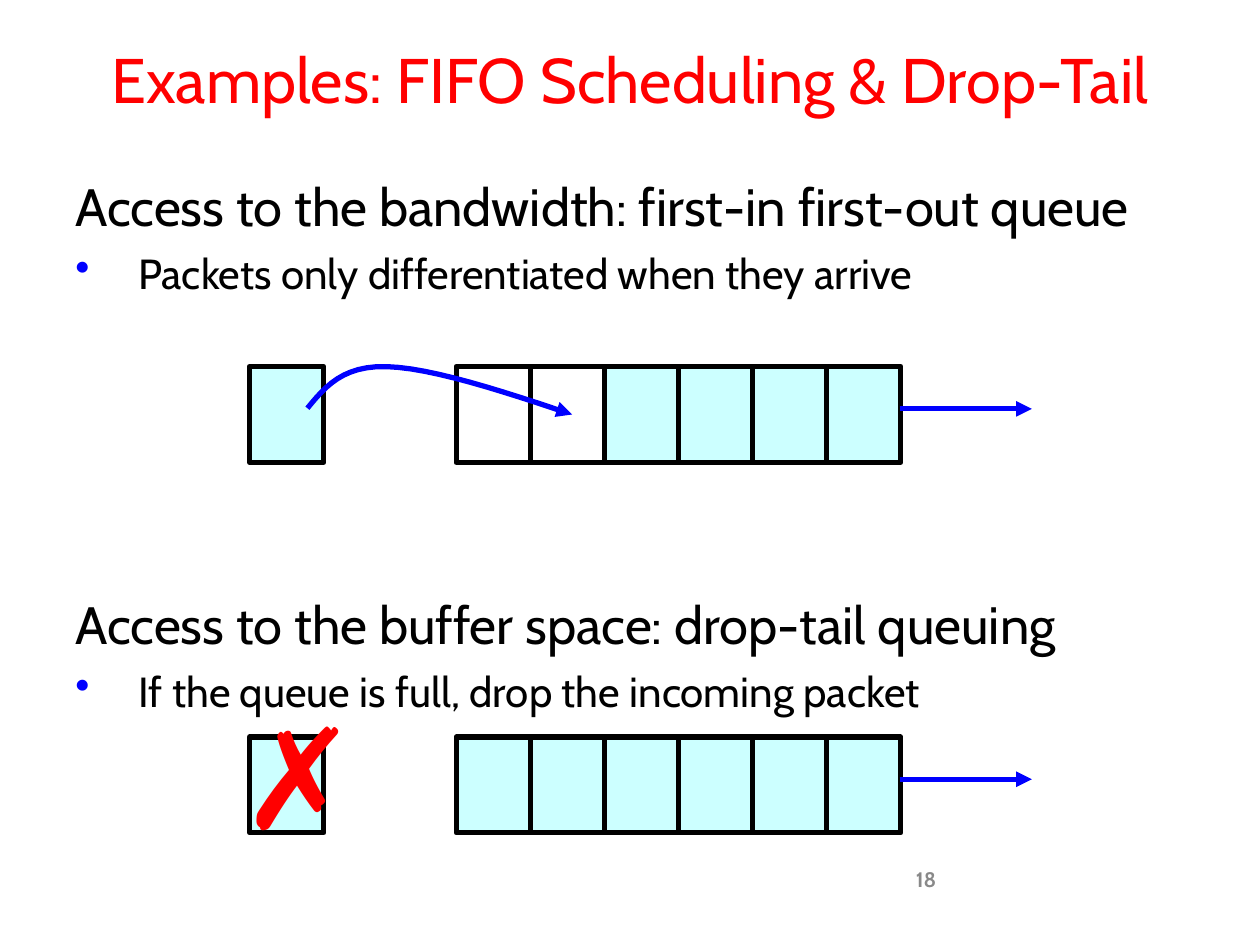
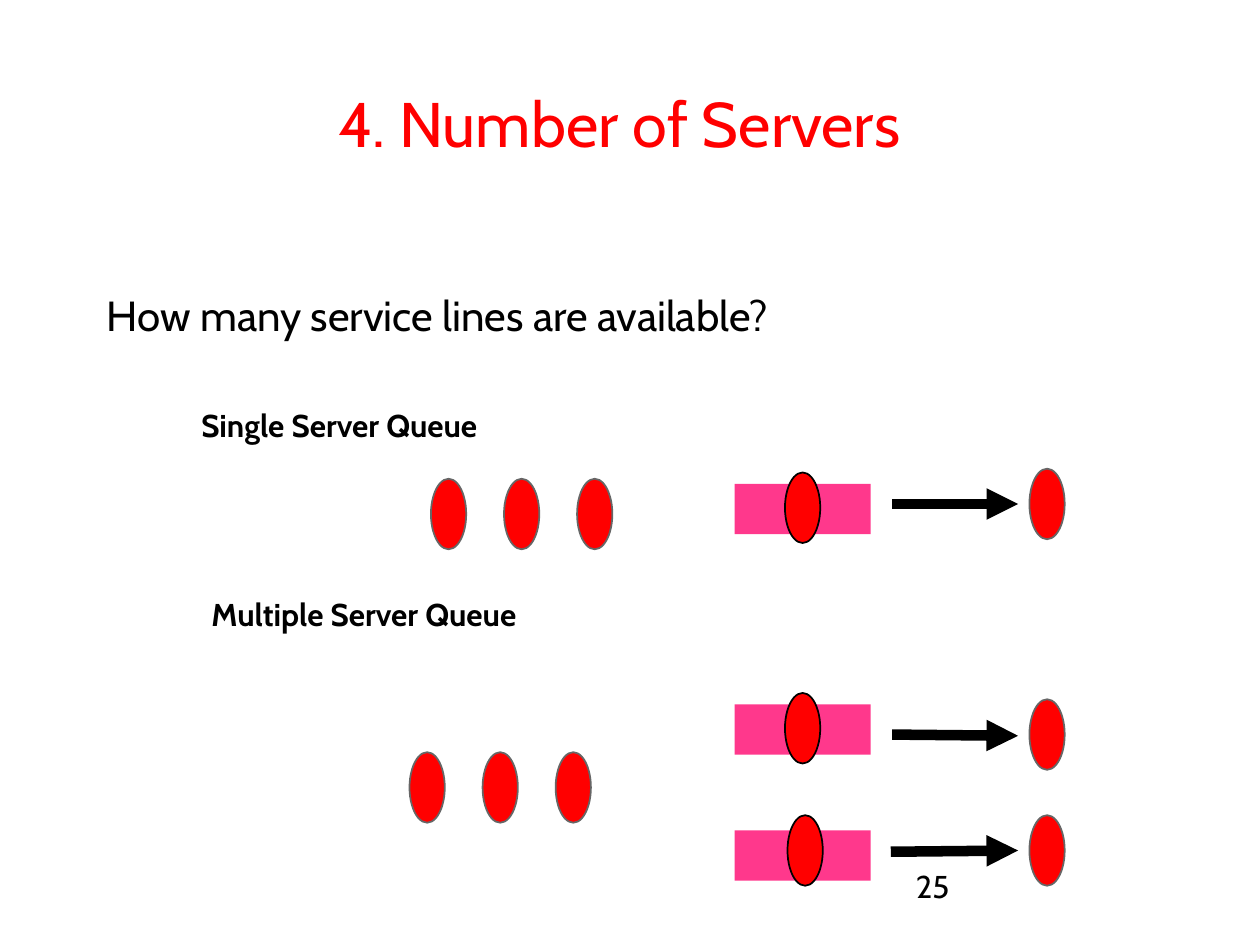
from typing import NamedTuple, Optional

from lxml.etree import SubElement
from pptx import Presentation
from pptx.dml.color import RGBColor
from pptx.enum.shapes import MSO_CONNECTOR, MSO_SHAPE
from pptx.enum.text import MSO_ANCHOR, PP_ALIGN
from pptx.oxml.ns import qn
from pptx.util import Inches, Pt

RED = RGBColor(0xFF, 0x00, 0x00)
BLACK = RGBColor(0x00, 0x00, 0x00)
BLUE = RGBColor(0x00, 0x00, 0xFF)
GREY = RGBColor(0x89, 0x89, 0x89)
OUTLINE_GREY = RGBColor(0x66, 0x66, 0x66)
PACKET = RGBColor(0xCC, 0xFF, 0xFF)
PINK = RGBColor(0xFF, 0x38, 0x8C)
FONT = "Cabin"

PACKET_WIDTH, PACKET_HEIGHT = 0.59, 0.76
QUEUE_LEFT, QUEUE_SLOTS = 3.62, 6
ARRIVAL_LEFT = 1.98
CUSTOMER_WIDTH, CUSTOMER_HEIGHT = 0.28, 0.56
CUSTOMER_STEP = 0.58


class Area(NamedTuple):
    left: float
    top: float
    width: float
    height: float

    def lengths(self) -> list:
        return [Inches(value) for value in self]


class Line(NamedTuple):
    text: str
    size: int
    color: RGBColor = BLACK
    bold: bool = False
    align: PP_ALIGN = PP_ALIGN.LEFT
    before: int = 0
    bullet: bool = False


class Server(NamedTuple):
    bar_top: float
    served_left: float
    served_top: float
    arrow_from: tuple
    arrow_to: tuple
    leaving_top: float


SERVERS = [
    Server(3.84, 6.23, 3.75, (7.08, 4), (8.08, 4), 3.72),
    Server(5.59, 6.23, 5.5, (7.08, 5.83), (8.08, 5.84), 5.55),
    Server(6.59, 6.25, 6.47, (7.07, 6.76), (8.08, 6.75), 6.47),
]


def add_bullet(para) -> None:
    properties = para._p.get_or_add_pPr()
    properties.set("marL", str(Inches(0.5)))
    properties.set("indent", str(-Inches(0.5)))
    color = SubElement(properties, qn("a:buClr"))
    SubElement(color, qn("a:srgbClr"), val=str(BLUE))
    SubElement(properties, qn("a:buChar"), char="•")


def add_text(page, area: Area, lines: list[Line], anchor=MSO_ANCHOR.TOP) -> None:
    frame = page.shapes.add_textbox(*area.lengths()).text_frame
    frame.word_wrap = True
    frame.vertical_anchor = anchor
    for index, line in enumerate(lines):
        para = frame.add_paragraph() if index else frame.paragraphs[0]
        para.alignment = line.align
        para.space_before = Pt(line.before)
        if line.bullet:
            add_bullet(para)
        span = para.add_run()
        span.text = line.text
        span.font.name = FONT
        span.font.size = Pt(line.size)
        span.font.bold = line.bold
        span.font.color.rgb = line.color


def add_title(page, area: Area, text: str) -> None:
    add_text(page, area, [Line(text, 36, RED, align=PP_ALIGN.CENTER)], MSO_ANCHOR.MIDDLE)


def add_page_number(page, line: Line) -> None:
    add_text(page, Area(7.17, 6.83, 2.08, 0.5), [line])


def add_block(page, kind: MSO_SHAPE, area: Area, fill: Optional[RGBColor],
              outline: Optional[RGBColor] = None, weight: float = 1) -> None:
    block = page.shapes.add_shape(kind, *area.lengths())
    block.shadow.inherit = False
    if fill is None:
        block.fill.background()
    else:
        block.fill.solid()
        block.fill.fore_color.rgb = fill
    if outline is None:
        block.line.fill.background()
    else:
        block.line.color.rgb = outline
        block.line.width = Pt(weight)


def style_arrow(arrow, color: RGBColor, weight: float) -> None:
    arrow.line.color.rgb = color
    arrow.line.width = Pt(weight)
    SubElement(arrow.line._get_or_add_ln(), qn("a:tailEnd"), type="triangle")


def add_arrow(page, start: tuple, end: tuple, color: RGBColor, weight: float) -> None:
    ends = [Inches(value) for value in (*start, *end)]
    arrow = page.shapes.add_connector(MSO_CONNECTOR.STRAIGHT, *ends)
    style_arrow(arrow, color, weight)
    SubElement(arrow._element.spPr, qn("a:effectLst"))


def bezier(start: tuple, control_1: tuple, control_2: tuple, end: tuple, steps: int = 12) -> list:
    """Return the points after start along a cubic curve, in inches."""
    points = []
    for step in range(1, steps + 1):
        t = step / steps
        weights = ((1 - t) ** 3, 3 * t * (1 - t) ** 2, 3 * t ** 2 * (1 - t), t ** 3)
        points.append(tuple(
            sum(weight * value for weight, value in zip(weights, axis))
            for axis in zip(start, control_1, control_2, end)
        ))
    return points


def add_enqueue_arrow(page) -> None:
    start, crest, end = (2.44, 3.24), (3.07, 2.91), (4.54, 3.29)
    points = bezier(start, (2.58, 3.07), (2.72, 2.9), crest)
    points += bezier(crest, (3.42, 2.92), (3.98, 3.1), end)
    builder = page.shapes.build_freeform(*(Inches(value) for value in start), scale=1.0)
    builder.add_line_segments([(Inches(x), Inches(y)) for x, y in points], close=False)
    curve = builder.convert_to_shape()
    curve.shadow.inherit = False
    curve.fill.background()
    style_arrow(curve, BLUE, 3)


def add_packet_queue(page, top: float, free_slots: int) -> None:
    """Draw an arriving packet and a queue that fills from the right."""
    slots = [(QUEUE_LEFT + slot * (PACKET_WIDTH - 0.002), None if slot < free_slots else PACKET)
             for slot in range(QUEUE_SLOTS)]
    for left, fill in [(ARRIVAL_LEFT, PACKET), *slots]:
        area = Area(left, top, PACKET_WIDTH, PACKET_HEIGHT)
        add_block(page, MSO_SHAPE.RECTANGLE, area, fill, BLACK, 3)
    exit_height = top + 0.335
    add_arrow(page, (7.14, exit_height), (8.19, exit_height), BLUE, 3)


def add_customer(page, left: float, top: float, outline: RGBColor = OUTLINE_GREY) -> None:
    area = Area(left, top, CUSTOMER_WIDTH, CUSTOMER_HEIGHT)
    add_block(page, MSO_SHAPE.OVAL, area, RED, outline)


def add_waiting_customers(page, left: float, top: float) -> None:
    for place in range(3):
        add_customer(page, left + place * CUSTOMER_STEP, top)


def add_server(page, server: Server) -> None:
    add_block(page, MSO_SHAPE.RECTANGLE, Area(5.83, server.bar_top, 1.08, 0.4), PINK)
    add_customer(page, server.served_left, server.served_top, BLACK)
    add_arrow(page, server.arrow_from, server.arrow_to, BLACK, 6)
    add_customer(page, 8.17, server.leaving_top)


def build_scheduling_slide(page) -> None:
    add_title(page, Area(0, 0, 10, 1.25), "Examples: FIFO Scheduling & Drop-Tail")
    add_text(page, Area(0.5, 1.33, 9.25, 5.73), [
        Line("Access to the bandwidth: first-in first-out queue", 30),
        Line("Packets only differentiated when they arrive", 24, before=6, bullet=True),
        Line("Access to the buffer space: drop-tail queuing", 30, before=168),
        Line("If the queue is full, drop the incoming packet", 24, before=6, bullet=True),
    ])
    add_page_number(page, Line("18", 12, GREY, bold=True))
    add_packet_queue(page, 2.91, free_slots=2)
    add_enqueue_arrow(page)
    add_packet_queue(page, 5.85, free_slots=0)
    add_text(page, Area(1.81, 5.42, 1.33, 1.45), [Line("✗", 80, RED, bold=True)])


def build_servers_slide(page) -> None:
    add_title(page, Area(1.28, 0.56, 7.27, 0.82), "4. Number of Servers")
    add_text(page, Area(0.75, 2.25, 8.5, 0.83),
             [Line("How many service lines are available?", 24)])
    add_page_number(page, Line("25", 18))
    add_text(page, Area(1.5, 3.17, 2.63, 0.4), [Line("Single Server Queue", 18, bold=True)])
    add_waiting_customers(page, 3.42, 3.8)
    add_text(page, Area(1.58, 4.67, 2.88, 0.4), [Line("Multiple Server Queue", 18, bold=True)])
    add_waiting_customers(page, 3.25, 5.97)
    for server in SERVERS:
        add_server(page, server)


def main() -> None:
    deck = Presentation()
    deck.slide_width, deck.slide_height = Inches(10), Inches(7.5)
    blank = deck.slide_layouts[6]
    for build in (build_scheduling_slide, build_servers_slide):
        build(deck.slides.add_slide(blank))
    deck.save("out.pptx")


if __name__ == "__main__":
    main()
